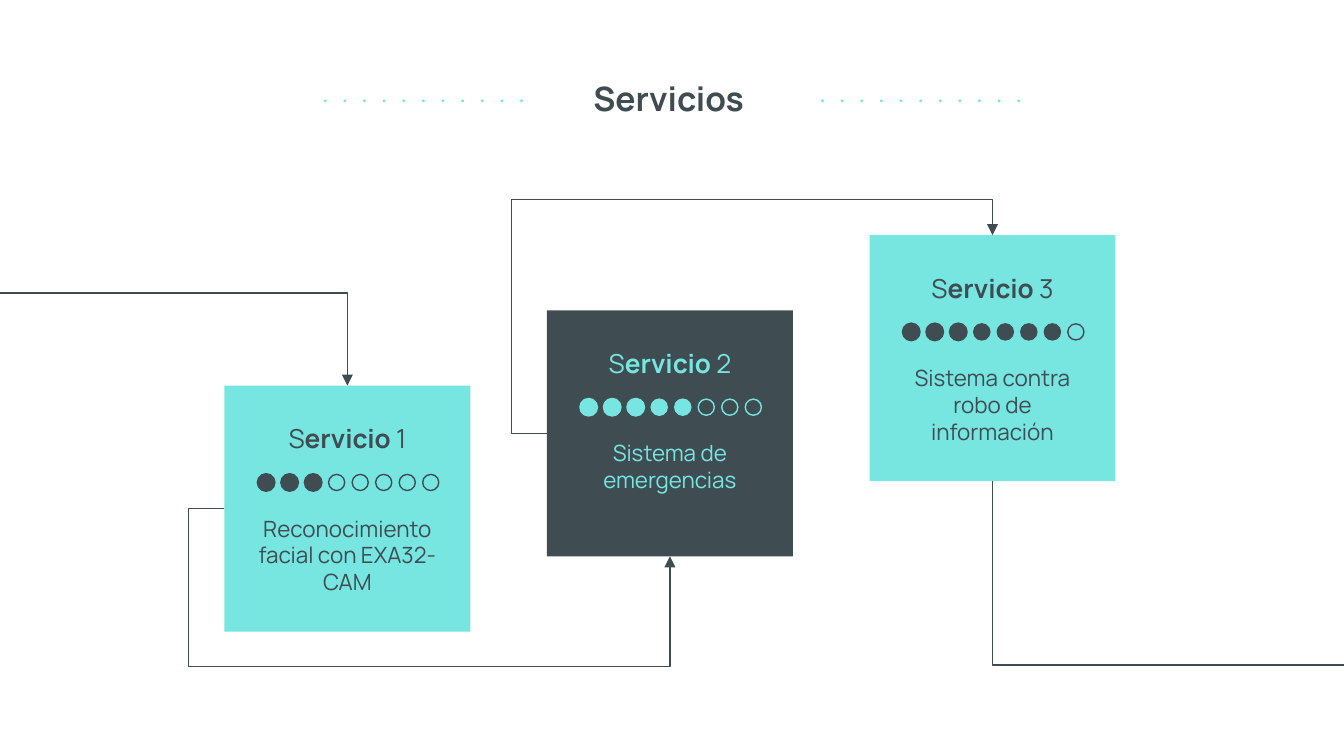
from lxml import etree
from pptx import Presentation
from pptx import util as u
from pptx.dml.color import RGBColor
from pptx.enum import shapes, text
from pptx.oxml.ns import qn

AQUA, DARK, FONT = "77E5E0", "3F4D53", "Manrope"


def rgb(code):
    return RGBColor.from_string(code)


class Deck:
    def __init__(self, slide):
        self.items = slide.shapes

    def shape(self, kind, x, y, w, h, fill=None, line=None, width=0.75):
        item = self.items.add_shape(kind, *map(u.Inches, (x, y, w, h)))
        item.shadow.inherit = False
        if fill:
            item.fill.solid()
            item.fill.fore_color.rgb = rgb(fill)
        else:
            item.fill.background()
        if line:
            item.line.color.rgb = rgb(line)
            item.line.width = u.Pt(width)
        else:
            item.line.fill.background()
        return item

    def box(self, x, y, w, h, fill):
        return self.shape(shapes.MSO_SHAPE.RECTANGLE, x, y, w, h, fill)

    def dot(self, x, y, size, fill=None, line=None, width=0.75):
        self.shape(shapes.MSO_SHAPE.OVAL, x, y, size, size, fill, line, width)

    def label(self, x, y, w, h, runs, size, color, middle=False):
        frame = self.items.add_textbox(*map(u.Inches, (x, y, w, h))).text_frame
        frame.word_wrap = True
        frame.margin_left = frame.margin_right = u.Inches(0.1)
        frame.margin_top = frame.margin_bottom = u.Inches(0.1)
        if middle:
            frame.vertical_anchor = text.MSO_ANCHOR.MIDDLE
        para = frame.paragraphs[0]
        para.alignment = text.PP_ALIGN.CENTER
        for words, bold in runs:
            run = para.add_run()
            run.text = words
            run.font.name = FONT
            run.font.size = u.Pt(size)
            run.font.bold = bold
            run.font.color.rgb = rgb(color)

    def elbow(self, start, end, kind, bends=(), begin=None, finish=None, arrow=True):
        line = self.items.add_connector(
            shapes.MSO_CONNECTOR.ELBOW, *map(u.Inches, (*start, *end)))
        if begin:
            line.begin_connect(*begin)
        if finish:
            line.end_connect(*finish)
        line.line.color.rgb = rgb(DARK)
        line.line.width = u.Pt(0.75)
        # Bend type, arrowhead and no shadow
        props = line.element.spPr
        geom = props.find(qn("a:prstGeom"))
        geom.set("prst", kind)
        guides = geom.find(qn("a:avLst"))
        for i, bend in enumerate(bends, 1):
            etree.SubElement(guides, qn("a:gd"), name=f"adj{i}",
                             fmla=f"val {round(bend * 100000)}")
        if arrow:
            etree.SubElement(props.find(qn("a:ln")), qn("a:tailEnd"), type="triangle")
        etree.SubElement(props, qn("a:effectLst"))


deck = Presentation()
deck.slide_width, deck.slide_height = u.Inches(10), u.Inches(10 * 9 / 16)
page = Deck(deck.slides.add_slide(deck.slide_layouts[6]))

# Heading with dotted rules
page.label(1.86, 0.48, 6.28, 0.63, [("Servicios ", True)], 18, DARK)
for left in (2.41, 6.11):
    for i in range(11):
        page.dot(left + 0.146 * i, 0.74, 0.02, AQUA)

# Service cards: text, filled dots, text width
cards = [
    ("Reconocimiento facial con EXA32-CAM", 3, 1.58, AQUA, DARK),
    ("Sistema de emergencias", 5, 1.47, DARK, AQUA),
    ("Sistema contra robo de información", 7, 1.47, AQUA, DARK),
]
WIDE = HIGH = 1.83
spots = [(1.67 + 2.4 * i, 2.87 - 0.56 * i) for i in range(3)]
boxes = [page.box(x, y, WIDE, HIGH, card[3]) for (x, y), card in zip(spots, cards)]

# Arrows between cards
mids = [x + WIDE / 2 for x, _ in spots]
(x1, y1), (x2, y2), (x3, y3) = spots
page.elbow((x1, y1 + HIGH / 2), (mids[1], y2 + HIGH), "bentConnector4",
           (-0.08, 3.31), (boxes[0], 1), (boxes[1], 2))
page.elbow((x2, y2 + HIGH / 2), (mids[2], y3), "bentConnector4",
           (-0.08, 1.18), (boxes[1], 1), (boxes[2], 0))
page.elbow((10.28, 4.95), (mids[2], y3 + HIGH), "bentConnector2",
           finish=(boxes[2], 2), arrow=False)
page.elbow((-0.1, 2.18), (mids[0], y1), "bentConnector2", finish=(boxes[0], 0))

# Card text and rating dots
for num, ((x, y), mid, card) in enumerate(zip(spots, mids, cards), 1):
    words, score, wide, _, ink = card
    name = [("S", False), ("ervicio", True), (f" {num}", False)]
    page.label(mid - 0.76, y + 0.2, 1.52, 0.38, name, 14, ink, middle=True)
    page.label(mid - wide / 2, y + 0.86, wide, 0.68, [(words, False)], 12, ink)
    for i in range(8):
        page.dot(x + 0.25 + 0.175 * i, y + 0.66, 0.12, ink if i < score else None,
                 ink, 1.5 if i < 3 else 0.75)

deck.save("out.pptx")
